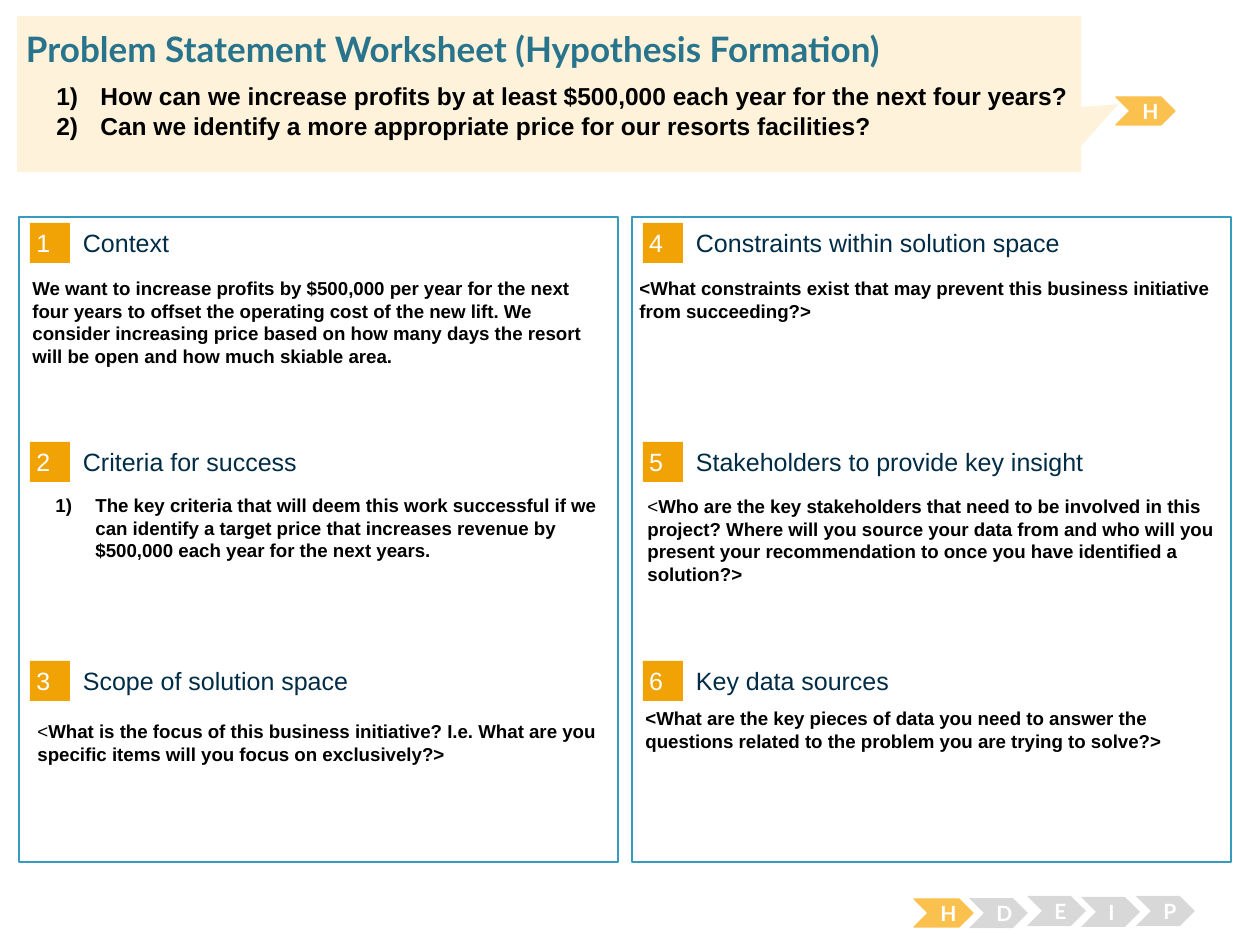
from pptx import Presentation, util as u
from pptx.dml.color import RGBColor
from pptx.enum import shapes, text
from lxml import etree

PX = 914400 / 126
NS = "http://schemas.openxmlformats.org/drawingml/2006/main"
GOLD, GRAY, WHITE = "FBC14E", "D8D8D8", "FFFFFF"
KIND = shapes.MSO_SHAPE

TITLE = "Problem Statement Worksheet (Hypothesis Formation)"
GOALS = [
    "How can we increase profits by at least $500,000 each year for the next four years?",
    "Can we identify a more appropriate price for our resorts facilities?",
]
HEADS = [
    "Context", "Criteria for success", "Scope of solution space",
    "Constraints within solution space", "Stakeholders to provide key insight",
    "Key data sources",
]
# place of the box, indent of a numbered item, light lead, bold text
NOTES = [
    ((20, 271, 596, 171), None, "",
     "We want to increase profits by $500,000 per year for the next four years "
     "to offset the operating cost of the new lift. We consider increasing price "
     "based on how many days the resort will be open and how much skiable area."),
    ((20, 488, 596, 194), 40, "",
     "The key criteria that will deem this work successful if we can identify a "
     "target price that increases revenue by $500,000 each year for the next years."),
    ((25, 714, 596, 103), None, "<",
     "What is the focus of this business initiative? I.e. What are you specific "
     "items will you focus on exclusively?>"),
    ((627, 271, 596, 149), None, "",
     "<What constraints exist that may prevent this business initiative from "
     "succeeding?>"),
    ((635, 489, 596, 149), None, "<",
     "Who are the key stakeholders that need to be involved in this project? "
     "Where will you source your data from and who will you present your "
     "recommendation to once you have identified a solution?>"),
    ((633, 701, 596, 149), None, "",
     "<What are the key pieces of data you need to answer the questions related "
     "to the problem you are trying to solve?>"),
]
# letter, left, top, height, colour
STEPS = [
    ("H", 914, 899, 28, GOLD), ("D", 969, 898, 30, GRAY),
    ("E", 1027, 896, 30, GRAY), ("I", 1081, 897, 30, GRAY),
    ("P", 1136, 896, 30, GRAY), ("H", 1116, 97, 28, GOLD),
]


def emu(n):
    """Turn pixels into EMU."""
    return u.Emu(round(n * PX))


def hue(code):
    """Turn a hex string into a colour."""
    return RGBColor.from_string(code)


def shape(kind, box, fill, line=None, width=0.75):
    """Add a flat preset shape."""
    part = slide.shapes.add_shape(kind, *map(emu, box))
    part.shadow.inherit = False
    part.fill.solid()
    part.fill.fore_color.rgb = hue(fill)
    if line:
        part.line.color.rgb = hue(line)
        part.line.width = u.Pt(width)
    else:
        part.line.fill.background()
    return part


def field(box):
    """Add an empty text box."""
    return slide.shapes.add_textbox(*map(emu, box))


def write(part, paras, size=10.7, font="Arial", color="000000", bold=False,
          pad=(12.6, 6.3), mid=False, align=text.PP_ALIGN.LEFT, hang=None):
    """Fill a shape; each paragraph is a string or a list of (text, bold)."""
    frame = part.text_frame
    frame.word_wrap = True
    frame.margin_left = frame.margin_right = emu(pad[0])
    frame.margin_top = frame.margin_bottom = emu(pad[1])
    frame.vertical_anchor = text.MSO_ANCHOR.MIDDLE if mid else text.MSO_ANCHOR.TOP
    for i, runs in enumerate(paras):
        para = frame.add_paragraph() if i else frame.paragraphs[0]
        para.alignment = align
        if hang:
            number(para, hang)
        for words, heavy in [(runs, bold)] if isinstance(runs, str) else runs:
            run = para.add_run()
            run.text = words
            run.font.size, run.font.name, run.font.bold = u.Pt(size), font, heavy
            run.font.color.rgb = hue(color)


def number(para, hang):
    """Number a paragraph as 1) with a hanging indent."""
    props = para._p.get_or_add_pPr()
    props.set("marL", str(emu(63)))
    props.set("indent", str(-emu(hang)))
    etree.SubElement(props, f"{{{NS}}}buFont", typeface="+mj-lt")
    etree.SubElement(props, f"{{{NS}}}buAutoNum", type="arabicParenR")


deck = Presentation()
deck.slide_width, deck.slide_height = u.Inches(10), u.Inches(7.5)
slide = deck.slides.add_slide(deck.slide_layouts[6])

for col in range(2):
    shape(KIND.RECTANGLE, (19 + 613 * col, 217, 599, 645), WHITE, "379BBD", 1.5)

for i, head in enumerate(HEADS):
    col, row = divmod(i, 3)
    x, y = 30 + 613 * col, 223 + 219 * row
    chip = shape(KIND.RECTANGLE, (x, y, 40, 40), "F1A205")
    write(chip, [str(i + 1)], size=14.3, color=WHITE, pad=(6.3, 6.3), mid=True)
    write(field((x + 53, y + 4, 495, 31)), [head], size=14.3, color="002C46",
          pad=(0, 0), mid=True)

for box, hang, lead, body in NOTES:
    runs = [(lead, False)] if lead else []
    write(field(box), [runs + [(body, True)]], hang=hang)

for name, x, y, high, color in STEPS:
    step = shape(KIND.CHEVRON, (x, y, 59, high), color,
                 GOLD if color == GOLD else None)
    write(step, [name], size=12, font="Lato", color=WHITE, bold=True, mid=True,
          align=text.PP_ALIGN.CENTER)

banner = shape(KIND.RECTANGULAR_CALLOUT, (17, 16, 1064, 156), "FEF2DA")
banner.adjustments[0], banner.adjustments[1] = 0.535, 0.066
write(field((26, 27, 1212, 43)), [TITLE], size=20, font="Lato", color="29748D",
      bold=True, pad=(0, 0))
write(field((25, 75, 1183, 68)), GOALS, size=14, bold=True, hang=44)

deck.save("out.pptx")
